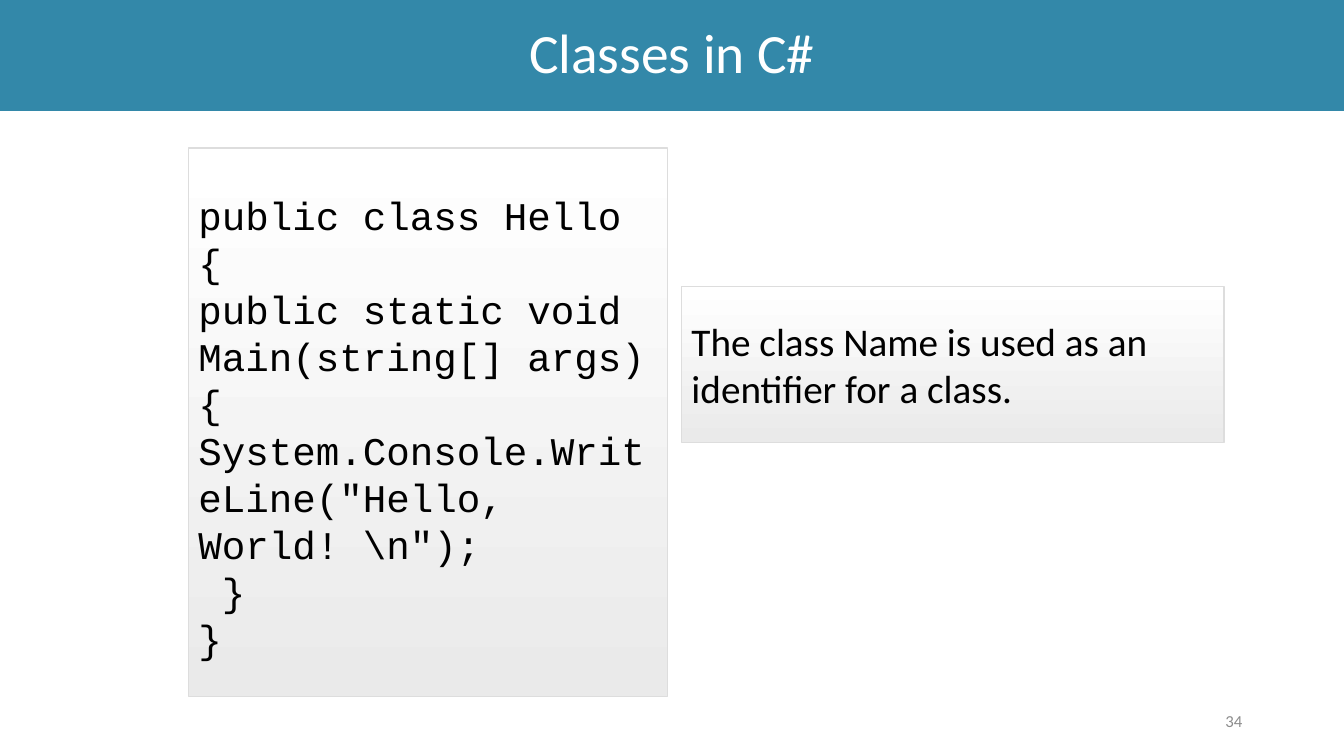
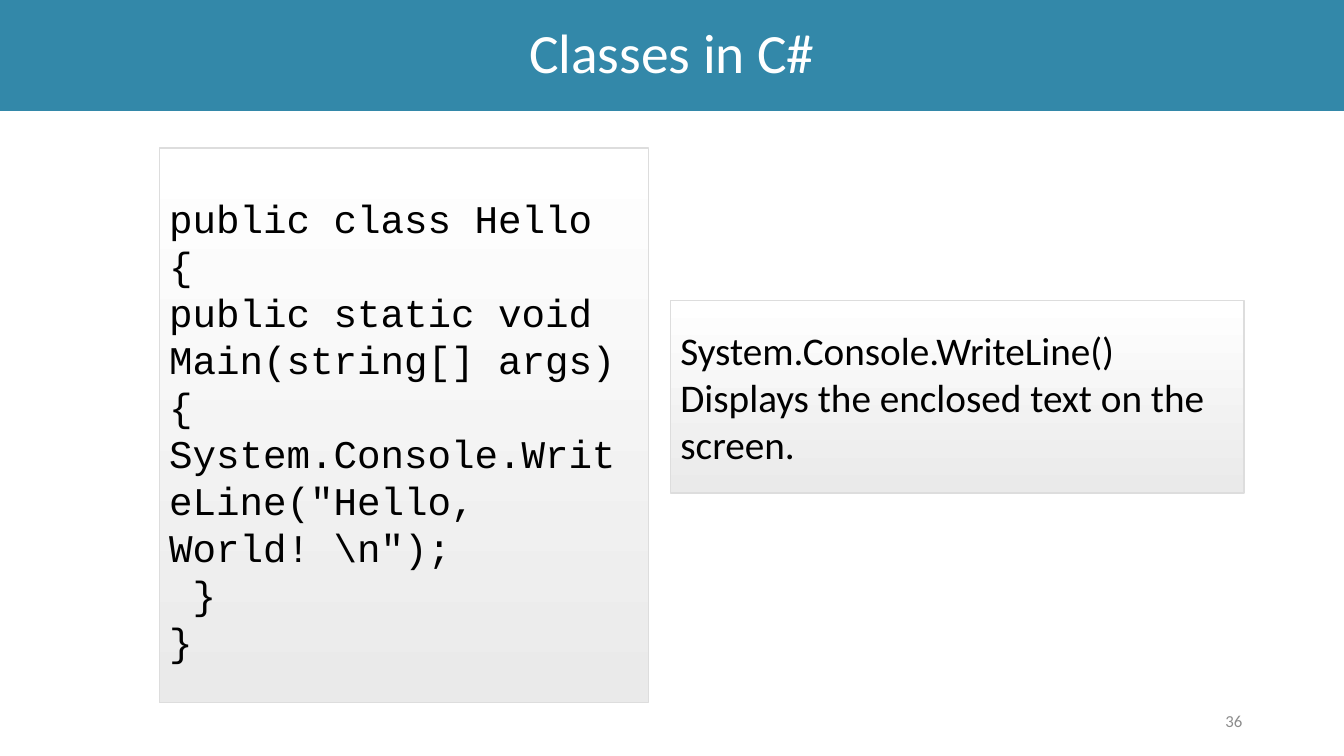
from pptx import Presentation
from pptx.dml.color import RGBColor
from pptx.enum.shapes import MSO_SHAPE as Shape
from pptx.enum.text import MSO_ANCHOR as Anchor, PP_ALIGN as Align
from pptx.util import Inches, Pt

# Shared look
BAND_BLUE = RGBColor(0x33, 0x88, 0xA9)
WHITE = RGBColor(0xFF, 0xFF, 0xFF)
BLACK = RGBColor(0, 0, 0)
PANEL_GREY = RGBColor(0xEA, 0xEA, 0xEA)
PANEL_EDGE = RGBColor(0xDD, 0xDD, 0xDD)
NUMBER_GREY = RGBColor(0x8C, 0x8C, 0x8C)
BODY_FONT = "Calibri"
CODE_FONT = "Courier New"
SLIDE_WIDTH, SLIDE_HEIGHT = 13.33, 7.5

TITLE = "Classes in C#"
HELLO_CODE = r"""public class Hello
{
public static void Main(string[] args)
{
System.Console.WriteLine("Hello, World! \n");
 }
}"""

# Per slide: number, code box, note box, note text
SLIDES = [
    (34, (1.87, 1.47, 4.75, 5.44), (6.76, 2.84, 5.38, 1.55),
     "The class Name is used as an identifier for a class."),
    (36, (1.58, 1.47, 4.85, 5.5), (6.65, 2.98, 5.69, 1.91),
     "System.Console.WriteLine()\nDisplays the enclosed text on the screen."),
]


def set_text(shape, text, size, color, font=BODY_FONT, align=Align.LEFT, spacing=None):
    frame = shape.text_frame
    frame.word_wrap = True
    frame.vertical_anchor = Anchor.MIDDLE
    frame.text = text
    for paragraph in frame.paragraphs:
        paragraph.alignment = align
        paragraph.line_spacing = spacing
        for run in paragraph.runs:
            run.font.name = font
            run.font.size = Pt(size)
            run.font.color.rgb = color


def add_box(slide, box):
    rectangle = slide.shapes.add_shape(Shape.RECTANGLE, *map(Inches, box))
    rectangle.shadow.inherit = False
    return rectangle


def add_title_band(slide, box):
    band = add_box(slide, box)
    band.fill.solid()
    band.fill.fore_color.rgb = BAND_BLUE
    band.line.fill.background()
    set_text(band, TITLE, 39.6, WHITE, align=Align.CENTER, spacing=0.9)


def add_slide_number(slide, box, number):
    label = slide.shapes.add_textbox(*map(Inches, box))
    set_text(label, str(number), 12, NUMBER_GREY, align=Align.RIGHT)


def add_panel(slide, box):
    """Box shaded from white at the top to grey at the bottom."""
    panel = add_box(slide, box)
    panel.fill.gradient()
    panel.fill.gradient_angle = 270
    for stop, position, color in zip(panel.fill.gradient_stops, (0, 1), (WHITE, PANEL_GREY)):
        stop.position = position
        stop.color.rgb = color
    panel.line.color.rgb = PANEL_EDGE
    panel.line.width = Pt(1)
    return panel


def add_code_panel(slide, box):
    panel = add_panel(slide, box)
    set_text(panel, HELLO_CODE, 28, BLACK, CODE_FONT, spacing=Pt(33.6))
    panel.text_frame.margin_top = Inches(0.13)


def add_note_panel(slide, box, note):
    set_text(add_panel(slide, box), note, 28, BLACK)


def add_class_slide(deck, number, code_box, note_box, note):
    slide = deck.slides.add_slide(deck.slide_layouts[6])
    add_title_band(slide, (0, 0, SLIDE_WIDTH, 1.1))
    add_slide_number(slide, (9.42, 6.95, 3, 0.4), number)
    add_code_panel(slide, code_box)
    add_note_panel(slide, note_box, note)


def main():
    deck = Presentation()
    deck.slide_width = Inches(SLIDE_WIDTH)
    deck.slide_height = Inches(SLIDE_HEIGHT)
    for content in SLIDES:
        add_class_slide(deck, *content)
    deck.save("out.pptx")


if __name__ == "__main__":
    main()
